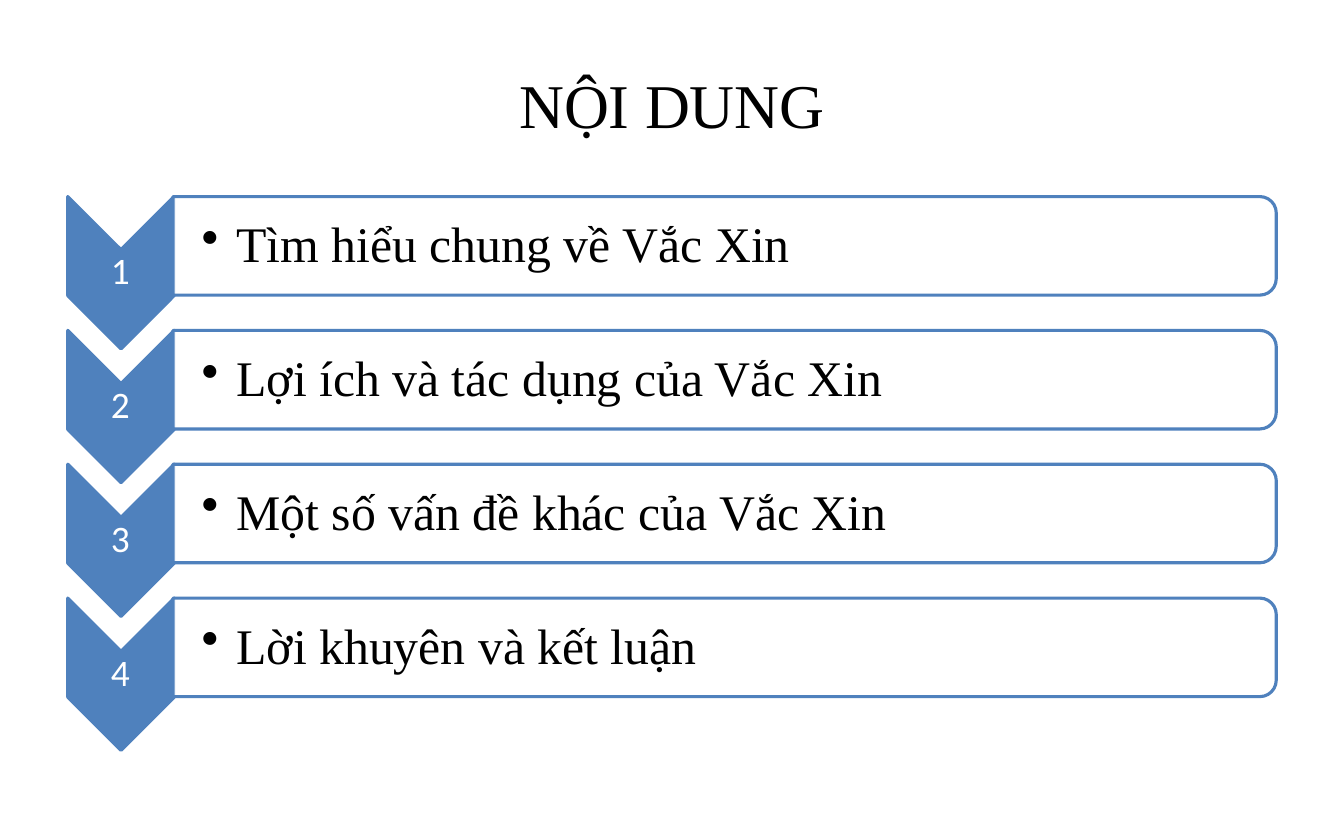
"""Build the contents slide: a title and four numbered chevron rows."""
import pptx
import pptx.util
import pptx.dml.color
import pptx.enum.shapes
import pptx.enum.text
import pptx.oxml
import pptx.oxml.ns
import lxml.etree

Inches, Pt = pptx.util.Inches, pptx.util.Pt
SHAPE = pptx.enum.shapes.MSO_SHAPE
CENTER = pptx.enum.text.PP_ALIGN.CENTER
LEFT = pptx.enum.text.PP_ALIGN.LEFT

TITLE = "NỘI DUNG"
TOPICS = [
    "Tìm hiểu chung về Vắc Xin",
    "Lợi ích và tác dụng của Vắc Xin",
    "Một số vấn đề khác của Vắc Xin",
    "Lời khuyên và kết luận",
]
COLORS = {"blue": "4F81BD", "white": "FFFFFF", "black": "000000"}
STYLES = {
    "title": {"size": Pt(40), "name": "Times New Roman", "color": "black"},
    "number": {"size": Pt(24), "name": "Calibri", "color": "white"},
    "topic": {"size": Pt(32), "name": "Times New Roman", "color": "black"},
}
ROW_PITCH = 1.195
CHEVRON = {"kind": SHAPE.CHEVRON, "cx": 1.08, "cy": 2.435, "w": 1.36, "h": 0.95}
BAR = {"kind": SHAPE.ROUND_2_SAME_RECTANGLE, "cx": 6.47, "cy": 2.195, "w": 0.88, "h": 9.85}
NUMBER_BOX = (0.6, 2.23, 0.95, 0.41)
TOPIC_BOX = (1.55, 1.8, 9.81, 0.8)


def rgb(name):
    return pptx.dml.color.RGBColor.from_string(COLORS[name])


def add_turned(shapes, kind, cx, cy, w, h, fill, dy):
    box = (cx - w / 2, cy - h / 2 + dy, w, h)
    sp = shapes.add_shape(kind, *map(Inches, box))
    sp.rotation = 90
    sp.shadow.inherit = False
    sp.fill.solid()
    sp.fill.fore_color.rgb = rgb(fill)
    sp.line.color.rgb = rgb("blue")
    sp.line.width = Pt(2)
    return sp


def add_text(shapes, text, box, style, align=CENTER, spacing=1.0, left=0.02, dy=0):
    x, y, w, h = box
    tf = shapes.add_textbox(*map(Inches, (x, y + dy, w, h))).text_frame
    frame = {
        "word_wrap": True,
        "vertical_anchor": pptx.enum.text.MSO_ANCHOR.MIDDLE,
        "margin_left": Inches(left),
        "margin_right": Inches(0.02),
        "margin_top": Inches(0.02),
        "margin_bottom": Inches(0.02),
    }
    for key, value in frame.items():
        setattr(tf, key, value)
    p = tf.paragraphs[0]
    p.alignment, p.line_spacing = align, spacing
    r = p.add_run()
    r.text = text
    for key, value in STYLES[style].items():
        if key == "color":
            r.font.color.rgb = rgb(value)
        else:
            setattr(r.font, key, value)
    return p


def add_bullet(p, indent):
    pPr = p._p.get_or_add_pPr()
    pPr.set("marL", str(Inches(indent)))
    pPr.set("indent", str(-Inches(indent)))
    lxml.etree.SubElement(pPr, pptx.oxml.ns.qn("a:buChar"), char="•")


def main():
    prs = pptx.Presentation()
    prs.slide_width, prs.slide_height = Inches(12), Inches(7.5)
    slide = prs.slides.add_slide(prs.slide_layouts[6])
    add_text(slide.shapes, TITLE, (0.6, 0.3, 10.8, 1.25), "title")

    rows = slide.shapes.add_group_shape().shapes
    for i, topic in enumerate(TOPICS):
        dy = i * ROW_PITCH
        add_turned(rows, **CHEVRON, fill="blue", dy=dy)
        add_text(rows, str(i + 1), NUMBER_BOX, "number", spacing=0.9, dy=dy)
        bar = add_turned(rows, **BAR, fill="white", dy=dy)
        color = bar.fill._xPr.find(".//" + pptx.oxml.ns.qn("a:srgbClr"))
        lxml.etree.SubElement(color, pptx.oxml.ns.qn("a:alpha"), val="90000")
        p = add_text(rows, topic, TOPIC_BOX, "topic", LEFT, 0.9, left=0.25, dy=dy)
        add_bullet(p, 0.31)

    prs.save("out.pptx")


if __name__ == "__main__":
    main()
